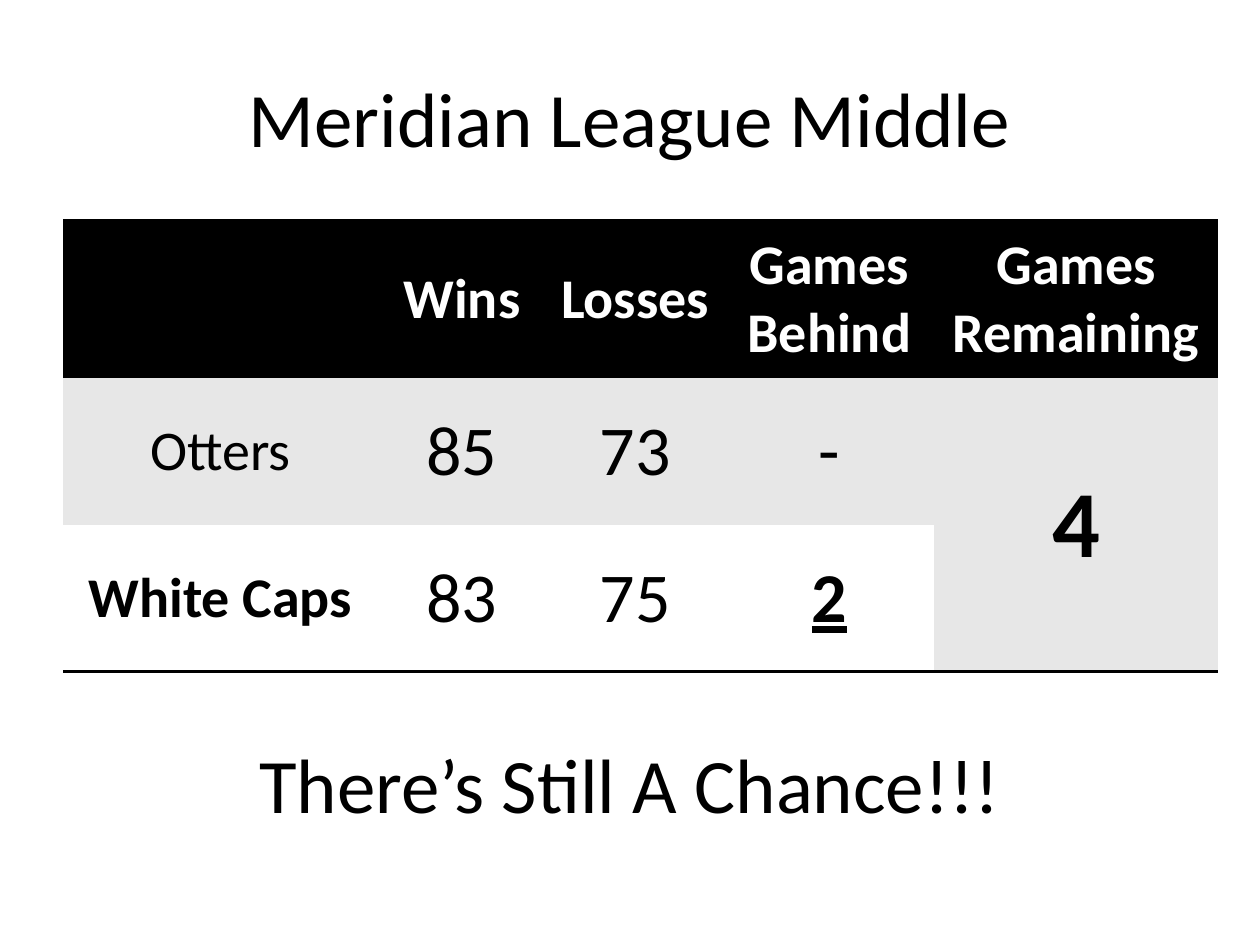
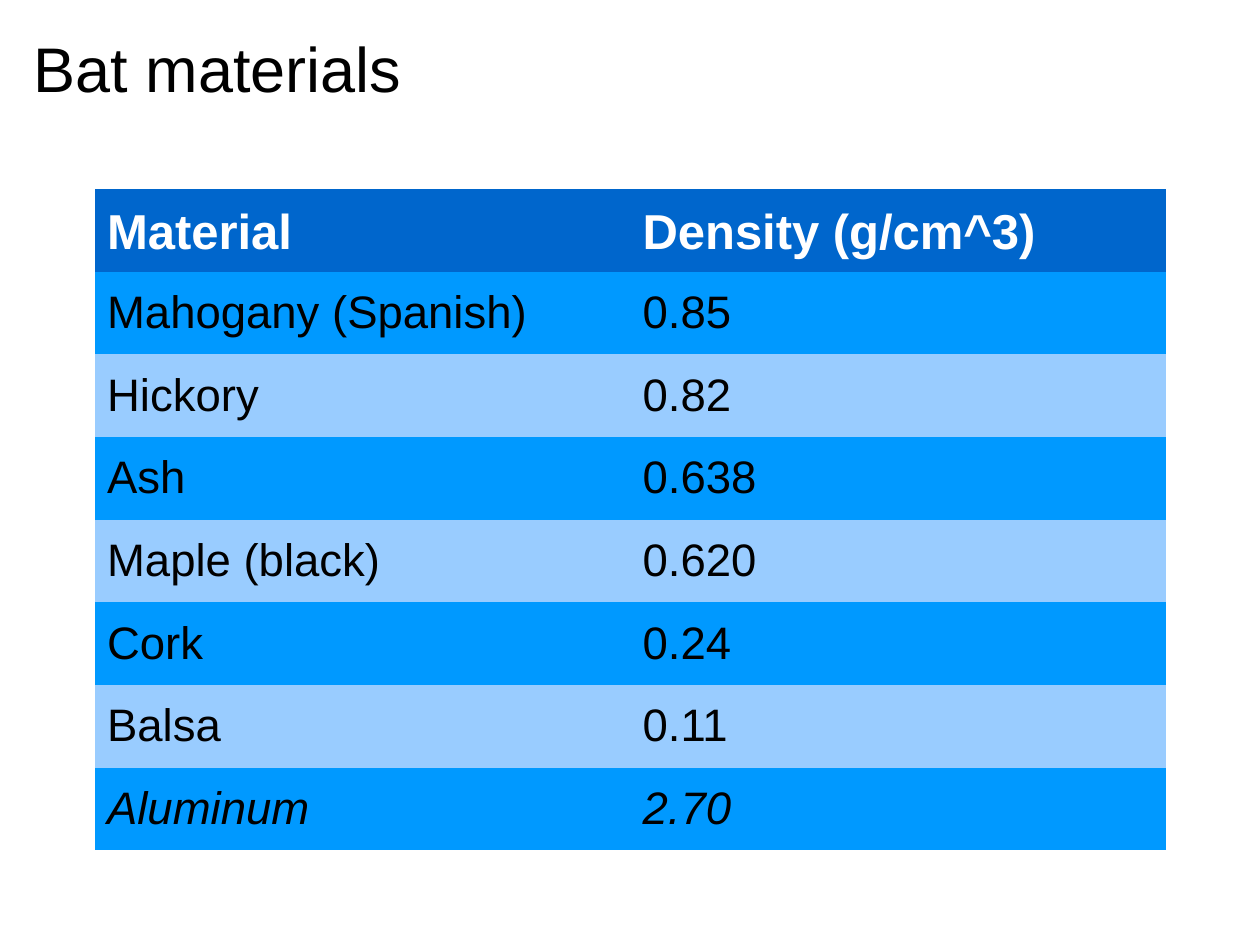
"""Build two slides: a league standings table and a bat materials table."""
from dataclasses import dataclass

from pptx import Presentation
from pptx.dml.color import RGBColor as Color
from pptx.enum.text import MSO_ANCHOR as Anchor, PP_ALIGN as Align
from pptx.oxml import parse_xml
from pptx.oxml.ns import nsdecls, qn
from pptx.util import Pt


@dataclass(frozen=True)
class Theme:
    black: str = "000000"
    white: str = "FFFFFF"
    grey: str = "E7E7E7"
    header_blue: str = "0066CC"
    strong_blue: str = "0099FF"
    pale_blue: str = "99CCFF"
    standings_font: str = "Calibri"
    materials_font: str = "Arial"
    headline: int = 44
    label: int = 32
    figure: int = 40
    remaining: int = 54
    materials_title: int = 36
    materials_header: int = 28
    materials_body: int = 26
    rule: int = 2
    plain_table: str = "{2D5ABB26-0587-4C30-8999-92F81FD0307C}"


theme = Theme()


def write(frame, text, *, size, font, color=theme.black, bold=False, italic=False,
          underline=False, align=Align.LEFT, spacing=None):
    frame.word_wrap = True
    paragraph = frame.paragraphs[0]
    paragraph.alignment = align
    paragraph.line_spacing = spacing
    run = paragraph.add_run()
    run.text = text
    run.font.size = Pt(size)
    run.font.name = font
    run.font.color.rgb = Color.from_string(color)
    run.font.bold = bold
    run.font.italic = italic
    run.font.underline = underline


def add_plain_table(slide, left, top, widths, heights):
    shape = slide.shapes.add_table(len(heights), len(widths), Pt(left), Pt(top),
                                   Pt(sum(widths)), Pt(sum(heights)))
    table = shape.table
    table.first_row = table.horz_banding = False
    table._tbl.tblPr.find(qn("a:tableStyleId")).text = theme.plain_table
    for column, width in zip(table.columns, widths):
        column.width = Pt(width)
    for row, height in zip(table.rows, heights):
        row.height = Pt(height)
    return table


presentation = Presentation()
presentation.slide_width, presentation.slide_height = Pt(720), Pt(540)
blank = presentation.slide_layouts[6]

standings_slide = presentation.slides.add_slide(blank)
for headline, top in [("Meridian League Middle", 21.6), ("There’s Still A Chance!!!", 402)]:
    box = standings_slide.shapes.add_textbox(Pt(36), Pt(top), Pt(648), Pt(90))
    box.text_frame.vertical_anchor = Anchor.MIDDLE
    write(box.text_frame, headline, size=theme.headline, font=theme.standings_font,
          align=Align.CENTER)

standings = [
    ["", "Wins", "Losses", "Games Behind", "Games Remaining"],
    ["Otters", "85", "73", "-", "4"],
    ["White Caps", "83", "75", "2", ""],
]
header_format = dict(size=theme.label, color=theme.white, bold=True)
team_format = dict(size=theme.label)
figure_format = dict(size=theme.figure)
standings_formats = [
    [header_format] * 5,
    [team_format] + [figure_format] * 3 + [dict(size=theme.remaining, bold=True)],
    [team_format | dict(bold=True), figure_format, figure_format,
     figure_format | dict(bold=True, underline=True), figure_format],
]
standings_fills = [theme.black, theme.grey, theme.white]
last_row, last_column = len(standings) - 1, len(standings[0]) - 1

table = add_plain_table(standings_slide, 36, 126, [180, 96, 102, 120, 162], [90, 84, 84])
table.cell(1, last_column).merge(table.cell(last_row, last_column))
for r, (texts, formats) in enumerate(zip(standings, standings_formats)):
    for c, (text, text_format) in enumerate(zip(texts, formats)):
        cell = table.cell(r, c)
        cell.fill.solid()
        fill = theme.grey if r and c == last_column else standings_fills[r]
        cell.fill.fore_color.rgb = Color.from_string(fill)
        cell.vertical_anchor = Anchor.MIDDLE
        if text:
            write(cell.text_frame, text, font=theme.standings_font, align=Align.CENTER,
                  **text_format)
        edges = {"lnT": r == 0, "lnB": r == last_row or cell.is_merge_origin}
        for edge in [name for name, ruled in edges.items() if ruled]:
            cell._tc.get_or_add_tcPr().insert(0, parse_xml(
                f'<a:{edge} {nsdecls("a")} w="{Pt(theme.rule)}"><a:solidFill>'
                f'<a:srgbClr val="{theme.black}"/></a:solidFill></a:{edge}>'))

materials_slide = presentation.slides.add_slide(blank)
title = materials_slide.shapes.add_textbox(Pt(12.24), Pt(12.24), Pt(648), Pt(82.8))
write(title.text_frame, "Bat materials", size=theme.materials_title,
      font=theme.materials_font, spacing=1.02)

materials = [
    ("Material", "Density (g/cm^3)"),
    ("Mahogany (Spanish)", "0.85"),
    ("Hickory", "0.82"),
    ("Ash", "0.638"),
    ("Maple (black)", "0.620"),
    ("Cork", "0.24"),
    ("Balsa", "0.11"),
    ("Aluminum", "2.70"),
]
table = add_plain_table(materials_slide, 54, 108, [306] * 2, [47.25] * len(materials))
for r, texts in enumerate(materials):
    is_header = r == 0
    band = theme.strong_blue if r % 2 else theme.pale_blue
    for c, text in enumerate(texts):
        cell = table.cell(r, c)
        cell.fill.solid()
        cell.fill.fore_color.rgb = Color.from_string(theme.header_blue if is_header else band)
        cell.margin_top = Pt(14.4 if is_header else 13.7)
        write(cell.text_frame, text, font=theme.materials_font, spacing=0.81,
              size=theme.materials_header if is_header else theme.materials_body,
              color=theme.white if is_header else theme.black,
              bold=is_header, italic=text in materials[-1])

presentation.save("out.pptx")
